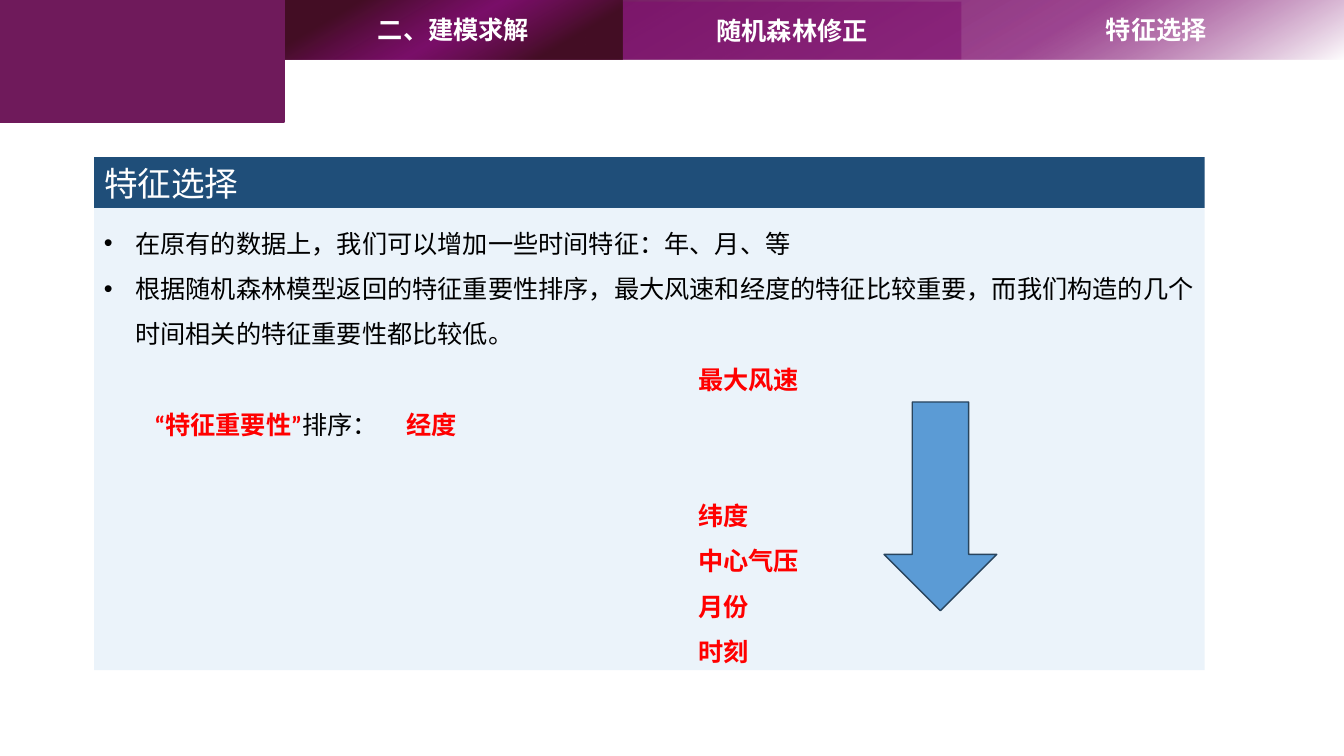
from lxml.etree import SubElement
from pptx import Presentation
from pptx.dml.color import RGBColor
from pptx.enum.shapes import MSO_SHAPE
from pptx.enum.text import MSO_ANCHOR, PP_ALIGN
from pptx.oxml.ns import qn
from pptx.util import Cm, Pt

# Content
HEADING = "特征选择"
BULLETS = [
    "在原有的数据上，我们可以增加一些时间特征：年、月、等",
    "根据随机森林模型返回的特征重要性排序，最大风速和经度的特征比较重要，"
    "而我们构造的几个时间相关的特征重要性都比较低。",
]
RANK_LABEL = ("“特征重要性”", "排序：")
RANKING = ["最大风速", "经度", "纬度", "中心气压", "月份", "时刻"]
LABEL_ROW, GAP_ROW = 1, 2
STRIP_STOPS = [(0, "FFFFFF", 100), (29, "7E0C6E", 76), (82, "6F1A5B", 100)]
CHAPTER_STOPS = [(20, "440E25", 100), (50, "7E0C6E", 76), (82, "440E25", 100)]
TABS = [  # text, left, top, width, height, fill
    ("", 7.16, 0, 26.71, 1.5, STRIP_STOPS),
    ("随机森林修正", 15.7, 0.04, 8.53, 1.46, ("7E0C6E", 50)),
    ("二、建模求解", 7.16, 0, 8.54, 1.5, CHAPTER_STOPS),
    ("特征选择", 24.43, 0.02, 9.42, 1.46, None),
]

# Layout in centimetres
PANEL_LEFT, PANEL_TOP, PANEL_WIDTH = 2.37, 3.96, 27.99
HEADING_HEIGHT, BODY_HEIGHT = 1.28, 11.65
LABEL_INDENT, RANK_INDENT, BULLET_INDENT = 2.54, 14.98, 0.79
ROW_GAP = Pt(32.4)

BODY = {"size": Pt(18), "name": "Calibri", "bold": False}
BODY_RED = {**BODY, "bold": True}
TAB = {"size": Pt(18), "name": "Noto Sans CJK SC", "bold": True}


def rgb(value):
    return RGBColor.from_string(value)


def add_run(paragraph, text, style, color):
    run = paragraph.add_run()
    run.text = text
    for name, value in style.items():
        setattr(run.font, name, value)
    run.font.color.rgb = rgb(color)
    SubElement(run.font._element, qn("a:ea"), typeface=style["name"])


def set_alpha(color_element, percent):
    if percent < 100:
        SubElement(color_element, qn("a:alpha"), val=str(percent * 1000))


def fill_solid(shape, color, opacity=100):
    shape.fill.solid()
    shape.fill.fore_color.rgb = rgb(color)
    set_alpha(shape._element.spPr.find(".//" + qn("a:srgbClr")), opacity)


def fill_gradient(shape, stops, angle=240):
    shape.fill.gradient()
    gradient = shape._element.spPr.find(qn("a:gradFill"))
    for child in list(gradient):
        gradient.remove(child)
    stop_list = SubElement(gradient, qn("a:gsLst"))
    for position, color, opacity in stops:
        stop = SubElement(stop_list, qn("a:gs"), pos=str(position * 1000))
        set_alpha(SubElement(stop, qn("a:srgbClr"), val=color), opacity)
    SubElement(gradient, qn("a:lin"), ang=str(angle * 60000), scaled="0")


def add_shape(kind, left, top, width, height, line=None):
    shape = slide.shapes.add_shape(kind, Cm(left), Cm(top), Cm(width), Cm(height))
    shape.shadow.inherit = False
    if line:
        shape.line.color.rgb = rgb(line)
        shape.line.width = Pt(1)
    else:
        shape.line.fill.background()
    return shape


def indent(paragraph, margin, first=0):
    properties = paragraph._p.get_or_add_pPr()
    properties.set("marL", str(Cm(margin)))
    properties.set("indent", str(Cm(first)))
    return properties


def add_tabs(properties, *positions):
    tab_list = SubElement(properties, qn("a:tabLst"))
    for position in positions:
        SubElement(tab_list, qn("a:tab"), pos=str(Cm(position)), algn="l")


presentation = Presentation()
presentation.slide_width, presentation.slide_height = Cm(33.87), Cm(19.05)
slide = presentation.slides.add_slide(presentation.slide_layouts[5])

# Heading bar
title = slide.shapes.title
title.left, title.top = Cm(PANEL_LEFT), Cm(PANEL_TOP)
title.width, title.height = Cm(PANEL_WIDTH), Cm(HEADING_HEIGHT)
fill_solid(title, "1F4E79")
title.text_frame.vertical_anchor = MSO_ANCHOR.MIDDLE
title.text_frame.paragraphs[0].alignment = PP_ALIGN.LEFT
add_run(title.text_frame.paragraphs[0], HEADING, {**BODY, "size": Pt(24)}, "FFFFFF")

# Body panel: bullets, then the ranking column
panel = add_shape(MSO_SHAPE.RECTANGLE, PANEL_LEFT, PANEL_TOP + HEADING_HEIGHT,
                  PANEL_WIDTH, BODY_HEIGHT)
fill_solid(panel, "9DC3E6", 20)
frame = panel.text_frame
frame.word_wrap = True
frame.vertical_anchor = MSO_ANCHOR.TOP
paragraphs = [frame.paragraphs[0]]
paragraphs += [frame.add_paragraph() for _ in (BULLETS + RANKING)[1:]]
for paragraph in paragraphs:
    paragraph.alignment = PP_ALIGN.LEFT
    paragraph.line_spacing = 1.5
for paragraph, text in zip(paragraphs, BULLETS):
    properties = indent(paragraph, BULLET_INDENT, -BULLET_INDENT)
    SubElement(properties, qn("a:buFont"), typeface="Arial")
    SubElement(properties, qn("a:buChar"), char="•")
    add_run(paragraph, text, BODY, "000000")
for row, (paragraph, text) in enumerate(zip(paragraphs[len(BULLETS):], RANKING)):
    if row == GAP_ROW:
        paragraph.space_before = ROW_GAP
    if row == LABEL_ROW:
        add_tabs(indent(paragraph, 0), LABEL_INDENT, RANK_INDENT)
        add_run(paragraph, "\t" + RANK_LABEL[0], BODY_RED, "FF0000")
        add_run(paragraph, RANK_LABEL[1] + "\t", BODY, "000000")
    else:
        indent(paragraph, RANK_INDENT)
    add_run(paragraph, text, BODY_RED, "FF0000")

# Arrow of falling importance
arrow = add_shape(MSO_SHAPE.DOWN_ARROW, 22.28, 10.13, 2.84, 5.26, "28445D")
fill_solid(arrow, "5B9BD5")

# Navigation strip
for text, left, top, width, height, fill in TABS:
    tab = add_shape(MSO_SHAPE.RECTANGLE, left, top, width, height)
    if fill is None:
        tab.fill.background()
    elif isinstance(fill, list):
        fill_gradient(tab, fill)
    else:
        fill_solid(tab, *fill)
    if text:
        tab.text_frame.vertical_anchor = MSO_ANCHOR.MIDDLE
        tab.text_frame.paragraphs[0].alignment = PP_ALIGN.CENTER
        add_run(tab.text_frame.paragraphs[0], text, TAB, "FFFFFF")

# Corner block
corner = add_shape(MSO_SHAPE.RECTANGLE, 0, 0, 7.16, 3.08, "6F1A5B")
fill_solid(corner, "6F1A5B")

presentation.save("out.pptx")
